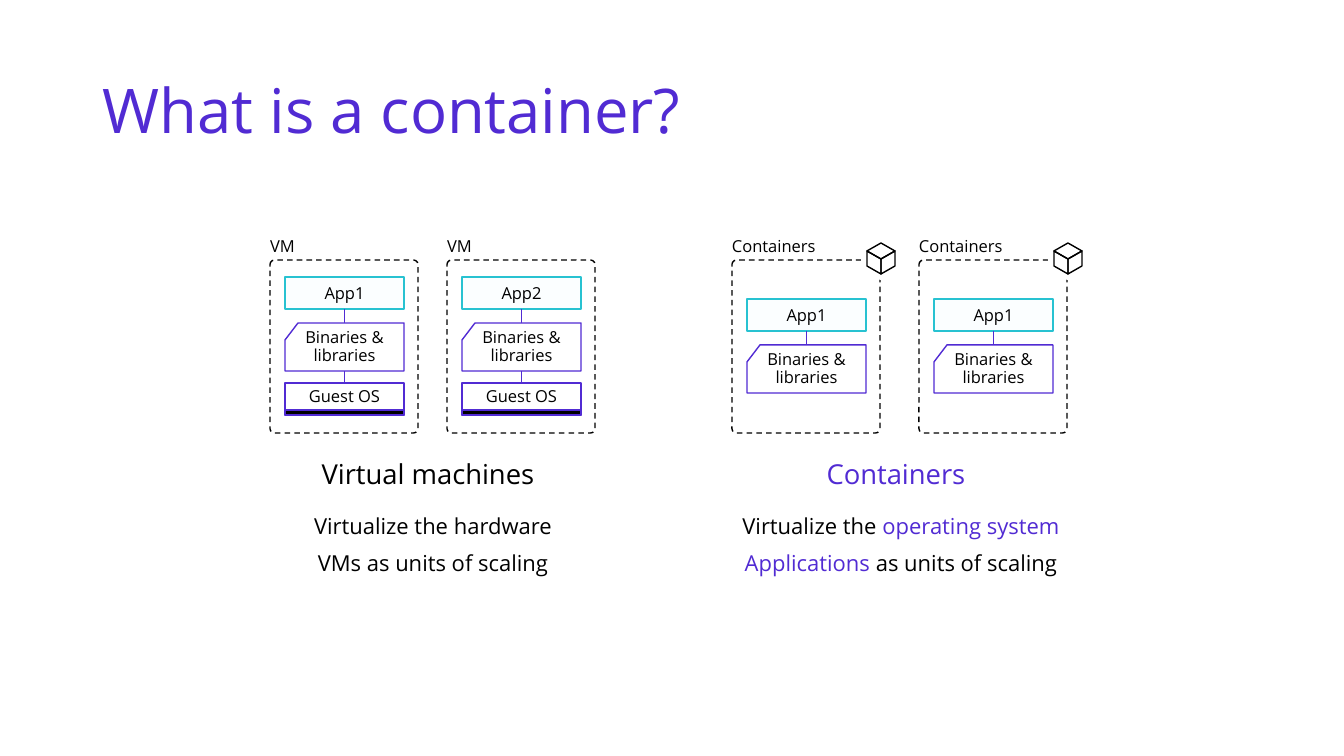
from lxml.etree import SubElement
from pptx import Presentation
from pptx.dml.color import RGBColor
from pptx.enum.dml import MSO_LINE
from pptx.enum.shapes import MSO_CONNECTOR, MSO_SHAPE
from pptx.enum.text import MSO_ANCHOR, PP_ALIGN
from pptx.oxml.ns import qn
from pptx.util import Pt

PX = 914400 / 100.8
PURPLE = RGBColor(0x51, 0x2B, 0xD3)
TEAL = RGBColor(0x28, 0xC2, 0xD1)
CYAN = RGBColor(0x50, 0xE6, 0xFF)
BLACK = RGBColor(0, 0, 0)
WHITE = RGBColor(0xFF, 0xFF, 0xFF)

TITLE = {"line_spacing": 0.9}
CENTER = {"alignment": PP_ALIGN.CENTER}
BODY = {**CENTER, "space_after": Pt(5.9)}
TIGHT = {**BODY, "line_spacing": 0.9}


def px(*values):
    return [round(v * PX) for v in values]


class SlideBuilder:
    font = "Open Sans"
    small = 11.8

    def __init__(self, prs):
        self.s = prs.slides.add_slide(prs.slide_layouts[6])

    def fill_text(self, shape, runs, size, fmt, anchor=MSO_ANCHOR.TOP, insets=(0, 0, 0, 0)):
        tf = shape.text_frame
        sides = ("margin_left", "margin_top", "margin_right", "margin_bottom")
        frame = {"word_wrap": True, "vertical_anchor": anchor, **dict(zip(sides, px(*insets)))}
        for name, value in frame.items():
            setattr(tf, name, value)
        p = tf.paragraphs[0]
        for name, value in fmt.items():
            setattr(p, name, value)
        for text, color in runs:
            r = p.add_run()
            r.text = text
            for name, value in {"name": self.font, "size": Pt(size)}.items():
                setattr(r.font, name, value)
            r.font.color.rgb = color

    def text(self, box, runs, size, fmt, **layout):
        self.fill_text(self.s.shapes.add_textbox(*px(*box)), runs, size, fmt, **layout)

    def paint(self, sp, fill, line, alpha=None):
        sp.shadow.inherit = False
        if fill is None:
            sp.fill.background()
        else:
            sp.fill.solid()
            sp.fill.fore_color.rgb = fill
        if alpha is not None:
            color = sp._element.spPr.find(qn("a:solidFill"))[0]
            SubElement(color, qn("a:alpha")).set("val", str(alpha * 1000))
        if line is None:
            sp.line.fill.background()
        else:
            sp.line.color.rgb = line
            sp.line.width = Pt(1)
        return sp

    def shape(self, kind, box, fill=None, line=None, alpha=None):
        return self.paint(self.s.shapes.add_shape(kind, *px(*box)), fill, line, alpha)

    def outline(self, contours, fill, line):
        fb = self.s.shapes.build_freeform(*contours[0][0], scale=PX)
        for i, (start, *rest) in enumerate(contours):
            if i:
                fb.move_to(*start)
            fb.add_line_segments(rest, close=True)
        return self.paint(fb.convert_to_shape(), fill, line)

    def link(self, x, top, bottom, begin, end=None):
        c = self.s.shapes.add_connector(MSO_CONNECTOR.STRAIGHT, *px(x, top, x, bottom))
        c.begin_connect(begin, 2)
        if end is not None:
            c.end_connect(end, 0)
        c.line.color.rgb = PURPLE
        c.line.width = Pt(1)
        SubElement(c._element.spPr, qn("a:effectLst"))

    def cube(self, x, y):
        self.shape(MSO_SHAPE.OVAL, (x, y, 41, 41), WHITE)
        left, mid, right = x + 6, x + 20, x + 34
        top, upper, center, lower, bottom = (y + d for d in (4, 12, 20, 27, 35))
        self.outline([
            [(right, upper), (right, lower), (mid, bottom), (mid, center)],
            [(left, upper), (mid, center), (mid, bottom), (left, lower)],
            [(mid, top), (right, upper), (mid, center), (left, upper)],
        ], None, BLACK)

    def unit(self, x, label, app, virtual):
        left, w, h = x + 15, 119, 32
        y = 277 if virtual else 299
        app_box = self.shape(MSO_SHAPE.RECTANGLE, (left, y, w, h), CYAN, TEAL, 2)
        self.fill_text(app_box, [(app, BLACK)], self.small, CENTER, anchor=MSO_ANCHOR.MIDDLE)
        guest = None
        if virtual:
            guest = self.shape(MSO_SHAPE.RECTANGLE, (left, y + 106, w, h), line=PURPLE)
            self.shape(MSO_SHAPE.RECTANGLE, (left, y + 133, w, 5), BLACK, PURPLE)
            self.text((left + 7, y + 111, 105, 18), [("Guest OS", BLACK)], self.small, TIGHT)
        self.link(left + w / 2, y + h, y + 85, app_box, guest)
        top, right, bottom = y + 46, left + w, y + 94
        self.outline([[(left, top + 17), (left + 13, top), (right, top),
                       (right, bottom), (left, bottom)]], WHITE, PURPLE)
        self.text((left + 7, top + 6, 105, 36), [("Binaries & libraries", BLACK)],
                  self.small, TIGHT)
        frame = self.shape(MSO_SHAPE.ROUNDED_RECTANGLE, (x, 260, 148, 173), line=BLACK)
        frame.adjustments[0] = 0.03
        frame.line.dash_style = MSO_LINE.DASH
        label_w, label_h = (78, 20) if virtual else (99, 40)
        self.text((x, 256 - label_h, label_w, label_h), [(label, BLACK)], self.small, {},
                  anchor=MSO_ANCHOR.BOTTOM)
        if not virtual:
            self.cube(x + 129, 239)

    def caption(self, x, heading, lines):
        self.text((x, 451, 346, 49), [heading], 19.6, TIGHT, insets=(0, 10, 10, 10))
        for i, runs in enumerate(lines):
            self.text((x, 512 + 38 * i, 346, 26), runs, 15.7, BODY)


def main():
    prs = Presentation()
    prs.slide_width, prs.slide_height = px(1344, 756)
    b = SlideBuilder(prs)
    b.text((93, 75, 1159, 78), [("What is a container?", PURPLE)], 44, TITLE,
           anchor=MSO_ANCHOR.MIDDLE, insets=(10, 5, 10, 5))
    for x, label, app, virtual in (
        (270, "VM", "App1", True),
        (447, "VM", "App2", True),
        (732, "Containers", "App1", False),
        (919, "Containers", "App1", False),
    ):
        b.unit(x, label, app, virtual)
    b.caption(260, ("Virtual machines", BLACK), [
        [("Virtualize the hardware", BLACK)],
        [("VMs as units of scaling", BLACK)],
    ])
    b.caption(728, ("Containers", PURPLE), [
        [("Virtualize the ", BLACK), ("operating system", PURPLE)],
        [("Applications", PURPLE), (" as units of scaling", BLACK)],
    ])
    prs.save("out.pptx")


if __name__ == "__main__":
    main()
